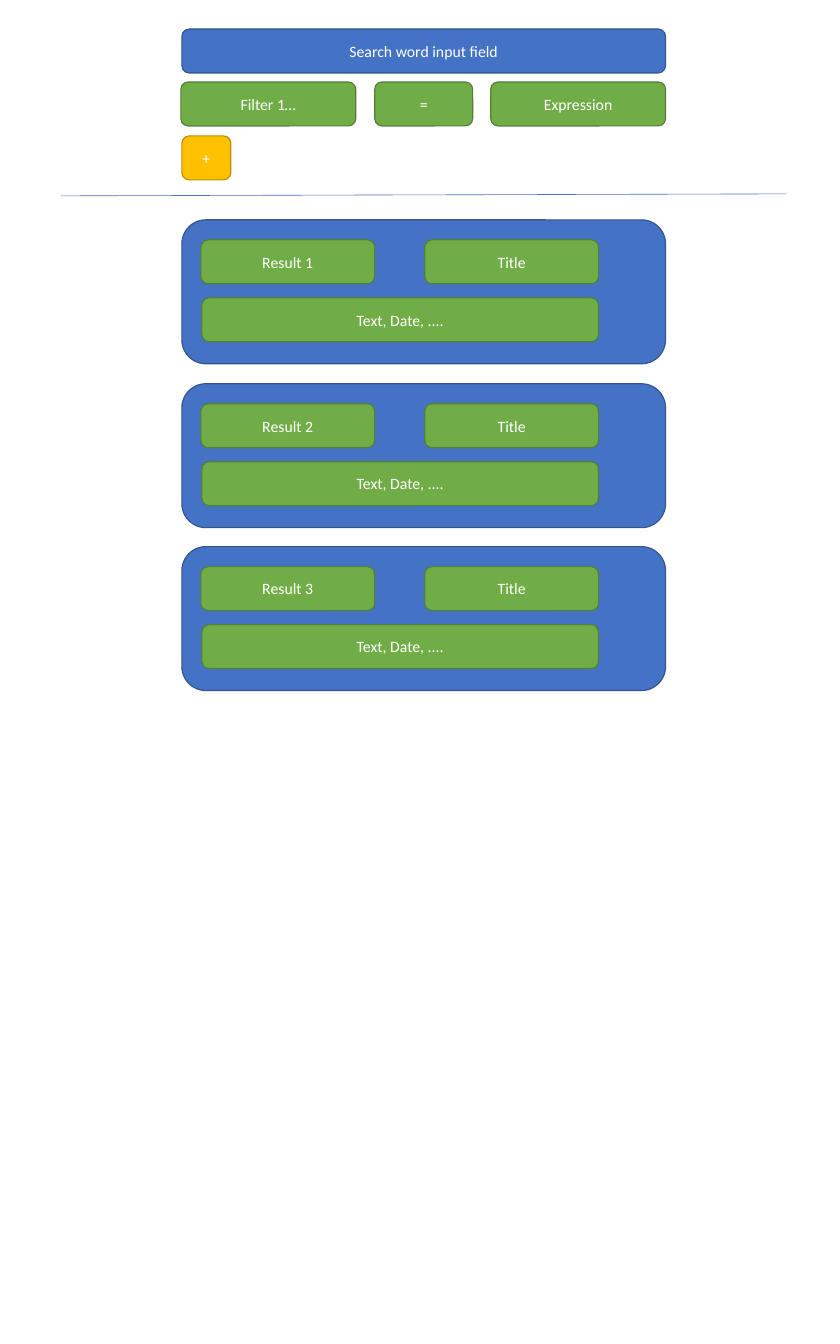
import pptx
import pptx.dml.color
import pptx.enum.shapes
import pptx.enum.text
import pptx.oxml
import pptx.util

EMU_PER_PIXEL = 914400 / 85.4
BLUE = ("4472C4", "325491")
GREEN = ("70AD47", "538035")
YELLOW = ("FFC000", "BD8E00")


def emu(pixels):
    """Turn pixels into EMU."""
    return pptx.util.Emu(round(pixels * EMU_PER_PIXEL))


def color(hex_string):
    """Turn a hex string into a colour."""
    return pptx.dml.color.RGBColor.from_string(hex_string)


def write_text(shape, text, font="Calibri", size=13.3, font_color="FFFFFF"):
    """Write one centred line of formatted text into a shape."""
    frame = shape.text_frame
    frame.word_wrap = True
    frame.vertical_anchor = pptx.enum.text.MSO_ANCHOR.MIDDLE
    frame.margin_left = frame.margin_right = emu(6)
    frame.margin_top = frame.margin_bottom = emu(3)
    paragraph = frame.paragraphs[0]
    paragraph.alignment = pptx.enum.text.PP_ALIGN.CENTER
    run = paragraph.add_run()
    run.text = text
    run.font.name = font
    run.font.size = pptx.util.Pt(size)
    run.font.color.rgb = color(font_color)


class Wireframe:
    """Hold the current slide and the style of its elements."""

    field_height = 44
    outline_width = pptx.util.Pt(1)
    divider_width = pptx.util.Pt(0.5)

    def __init__(self, slide):
        """Keep the slide to draw on."""
        self.slide = slide

    def box(self, left, top, width, height, colors):
        """Add a rounded box with a fill and an outline."""
        shape = self.slide.shapes.add_shape(
            pptx.enum.shapes.MSO_SHAPE.ROUNDED_RECTANGLE,
            emu(left), emu(top), emu(width), emu(height))
        shape.shadow.inherit = False
        fill, outline = colors
        shape.fill.solid()
        shape.fill.fore_color.rgb = color(fill)
        shape.line.color.rgb = color(outline)
        shape.line.width = self.outline_width
        return shape

    def field(self, text, left, top, width, colors=GREEN):
        """Add a labelled field of the common height."""
        shape = self.box(left, top, width, self.field_height, colors)
        write_text(shape, text)

    def result(self, number, top):
        """Add a result card with its three fields."""
        self.box(182, top, 484, 144, BLUE)
        self.field(f"Result {number}", 201, top + 20, 174)
        self.field("Title", 425, top + 20, 174)
        self.field("Text, Date, ....", 202, top + 78, 397)

    def divider(self, left, top, right, bottom):
        """Add a thin dividing line."""
        connector = self.slide.shapes.add_connector(
            pptx.enum.shapes.MSO_CONNECTOR.STRAIGHT,
            emu(left), emu(top), emu(right), emu(bottom))
        connector.line.color.rgb = color(BLUE[0])
        connector.line.width = self.divider_width
        properties = connector._element.spPr
        properties.append(pptx.oxml.parse_xml(
            '<a:effectLst xmlns:a='
            '"http://schemas.openxmlformats.org/drawingml/2006/main"/>'))


presentation = pptx.Presentation()
presentation.slide_width = pptx.util.Cm(25)
presentation.slide_height = pptx.util.Cm(40)
blank_layout = presentation.slide_layouts[6]
wireframe = Wireframe(presentation.slides.add_slide(blank_layout))

wireframe.field("Search word input field", 182, 29, 484, BLUE)
wireframe.field("+", 182, 136, 49, YELLOW)
for text, left, width in (("=", 375, 98), ("Filter 1…", 181, 175),
                          ("Expression", 491, 175)):
    wireframe.field(text, left, 82, width)

for index, card_top in enumerate((220, 384, 547), start=1):
    wireframe.result(index, card_top)

wireframe.divider(61, 196, 787, 194)

presentation.save("out.pptx")
